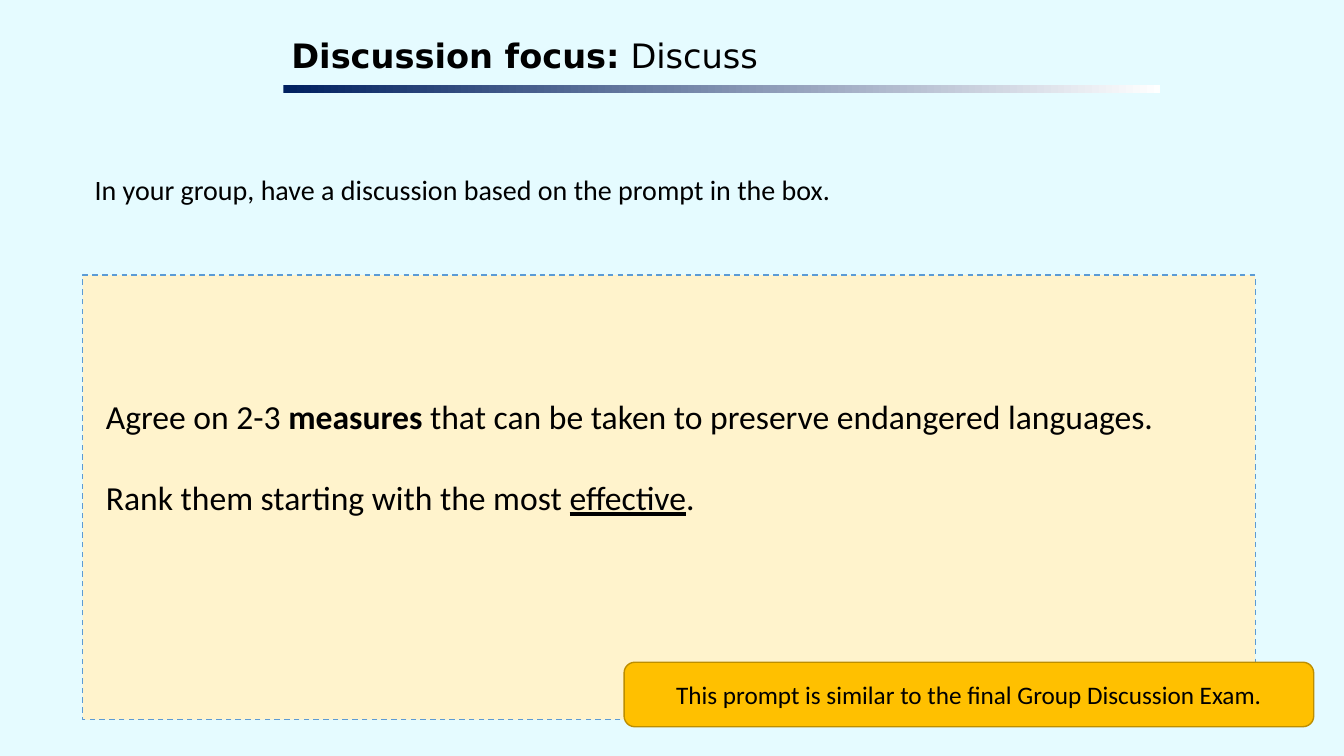
from pptx import Presentation
from pptx.dml.color import RGBColor
from pptx.enum.dml import MSO_LINE as Dash
from pptx.enum.shapes import MSO_SHAPE as Shape
from pptx.enum.text import MSO_ANCHOR as Anchor, PP_ALIGN as Align
from pptx.util import Inches, Pt

COLORS = {
    "back": "E5FBFF", "text": "000000", "navy": "002060", "white": "FFFFFF",
    "cream": "FFF3CC", "blue": "5B9BD5", "gold": "FFC000", "brown": "BD8E00",
}


def color(name):
    return RGBColor.from_string(COLORS[name])


def set_frame(shape, inset=None, anchor=Anchor.TOP):
    frame = shape.text_frame
    frame.word_wrap = True
    frame.vertical_anchor = anchor
    if inset is not None:
        frame.margin_left = frame.margin_right = Inches(inset)
        frame.margin_top = frame.margin_bottom = Inches(inset)
    return frame


def write(para, runs, size, font="Calibri", align=Align.LEFT):
    """Each run is a (text, style) pair; style is "", "bold" or "underline"."""
    para.alignment = align
    para.font.size = Pt(size)
    para.font.name = font
    para.font.color.rgb = color("text")
    for text, style in runs:
        run = para.add_run()
        run.text = text
        if style:
            setattr(run.font, style, True)


def add_text(slide, box, runs, size, font="Calibri", inset=None):
    shape = slide.shapes.add_textbox(*map(Inches, box))
    para = set_frame(shape, inset).paragraphs[0]
    write(para, runs, size, font)
    return para


def add_panel(slide, kind, box, fill, line):
    shape = slide.shapes.add_shape(kind, *map(Inches, box))
    shape.shadow.inherit = False
    shape.fill.solid()
    shape.fill.fore_color.rgb = color(fill)
    shape.line.color.rgb = color(line)
    shape.line.width = Pt(1)
    return shape


def add_rule(slide, box, names):
    rule = slide.shapes.add_shape(Shape.RECTANGLE, *map(Inches, box))
    rule.shadow.inherit = False
    rule.line.fill.background()
    rule.fill.gradient()
    rule.fill.gradient_angle = 0
    for place, (stop, name) in enumerate(zip(rule.fill.gradient_stops, names)):
        stop.position = place
        stop.color.rgb = color(name)


def add_prompt(slide, box, lines):
    panel = add_panel(slide, Shape.RECTANGLE, box, "cream", "blue")
    panel.line.dash_style = Dash.DASH
    frame = set_frame(panel, 0.04, Anchor.MIDDLE)
    frame.margin_left = Inches(0.23)
    frame.margin_bottom = Inches(0.85)  # lifts the text above the middle
    for i, runs in enumerate(lines):
        para = frame.add_paragraph() if i else frame.paragraphs[0]
        if i:
            para.space_before = Pt(29)
        write(para, runs, 24)


def add_note(slide, box, text):
    note = add_panel(slide, Shape.ROUNDED_RECTANGLE, box, "gold", "brown")
    frame = set_frame(note, anchor=Anchor.MIDDLE)
    write(frame.paragraphs[0], [(text, "")], 18, align=Align.CENTER)


def main():
    deck = Presentation()
    deck.slide_width, deck.slide_height = Inches(13.33), Inches(7.5)
    slide = deck.slides.add_slide(deck.slide_layouts[6])
    slide.background.fill.solid()
    slide.background.fill.fore_color.rgb = color("back")

    # Instruction
    task = add_text(slide, (0.84, 1.7, 11.5, 1.02), [
        ("In your group, have a discussion based on the prompt in the box.", ""),
    ], 20)
    task.line_spacing = 0.9

    # Title and rule
    add_text(slide, (2.85, 0.31, 8.66, 0.53), [
        ("Discussion focus:", "bold"), (" Discuss", ""),
    ], 24, "DejaVu Sans", 0.04)
    add_rule(slide, (2.81, 0.84, 8.7, 0.08), ("navy", "white"))

    # Prompt and note
    add_prompt(slide, (0.82, 2.73, 11.63, 4.41), [
        [("Agree on 2-3 ", ""), ("measures", "bold"),
         (" that can be taken to preserve endangered languages.", "")],
        [("Rank them starting with the most ", ""),
         ("effective", "underline"), (".", "")],
    ])
    add_note(slide, (6.19, 6.57, 6.84, 0.64),
             "This prompt is similar to the final Group Discussion Exam.")

    deck.save("out.pptx")


if __name__ == "__main__":
    main()
